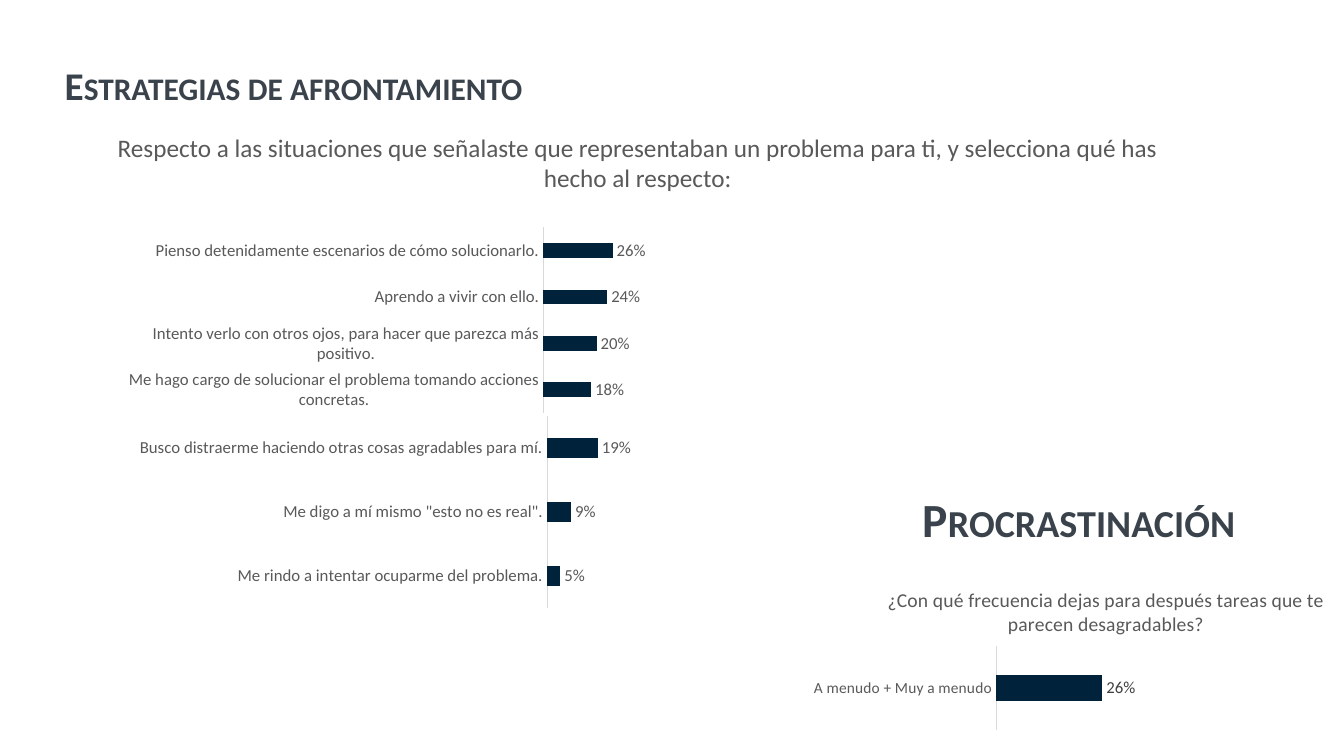
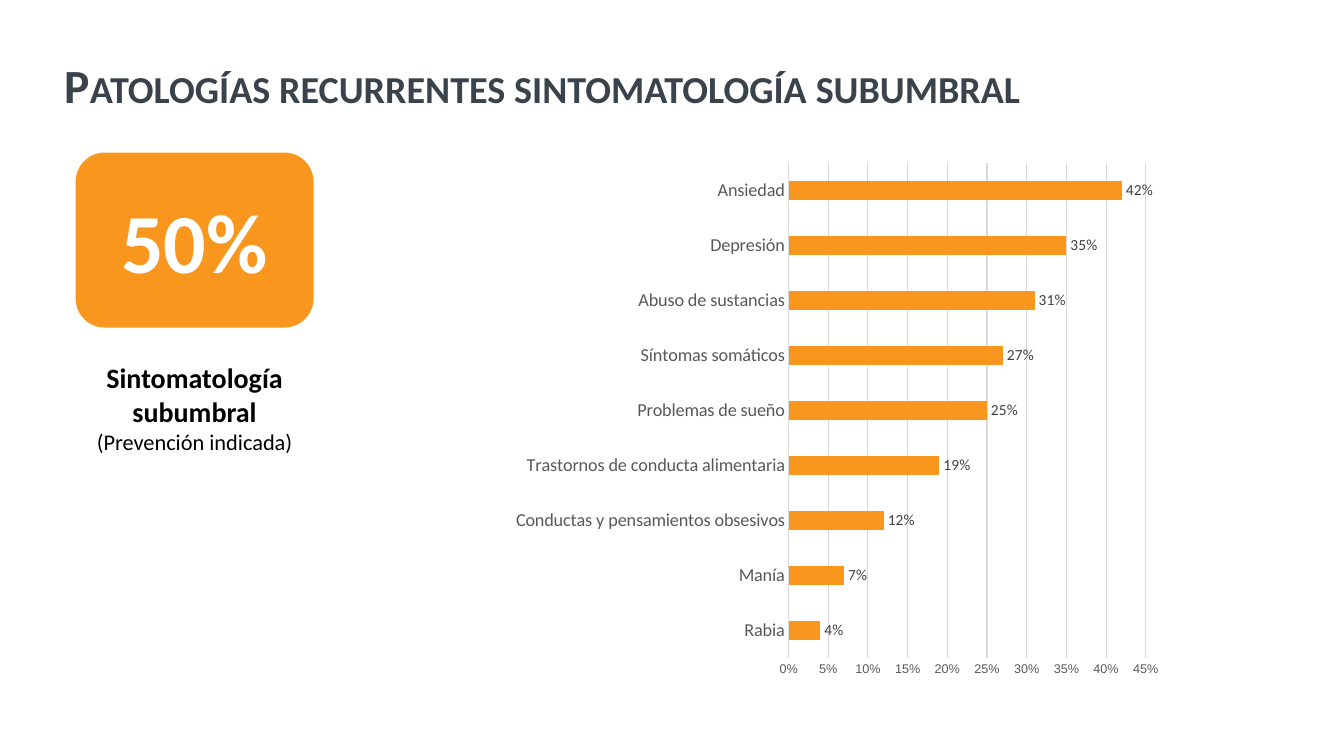
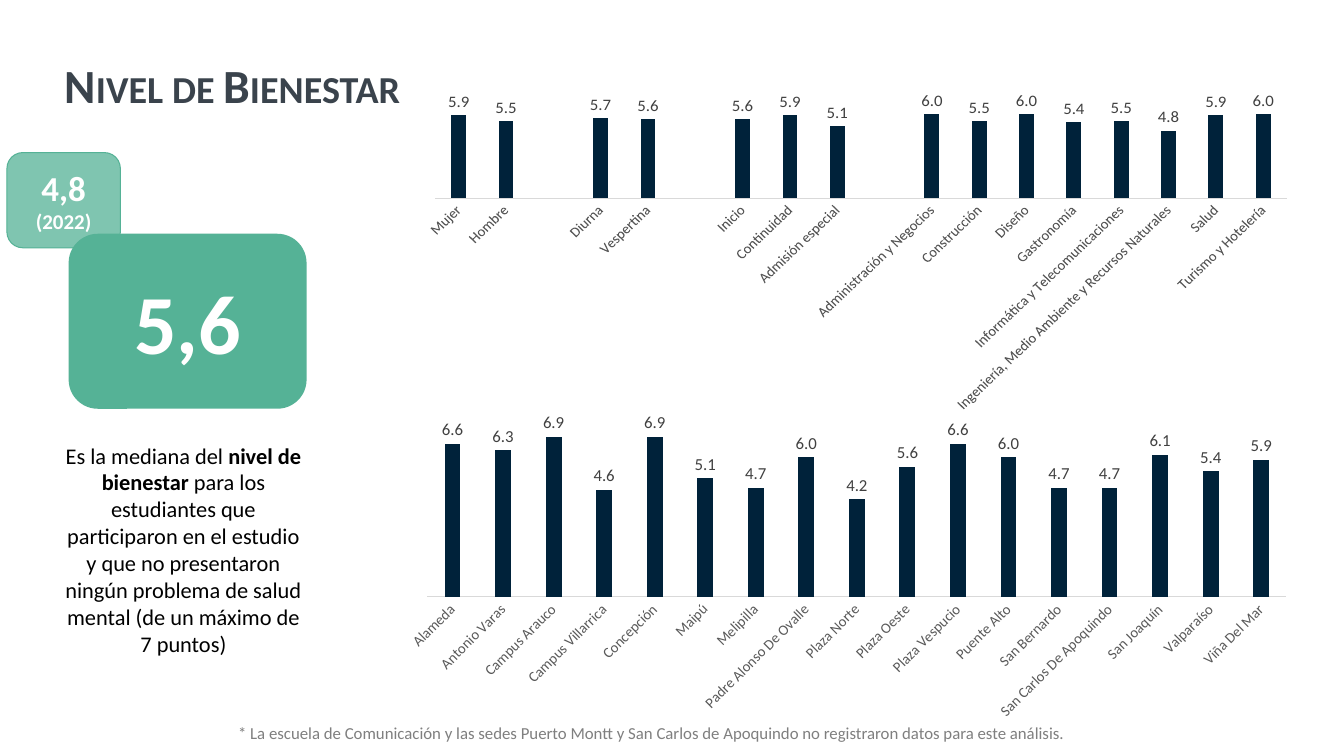
import pptx
import pptx.util
import pptx.oxml
import pptx.oxml.ns
import pptx.dml.color
import pptx.chart.data
import pptx.enum.chart
import pptx.enum.shapes
import pptx.enum.text

Pt = pptx.util.Pt
ALIGN = pptx.enum.text.PP_ALIGN
BAR = pptx.enum.chart.XL_CHART_TYPE.BAR_CLUSTERED
COLUMN = pptx.enum.chart.XL_CHART_TYPE.COLUMN_CLUSTERED

FONT = "Calibri"
NAVY = "00223A"
ORANGE = "F8961E"
GREEN = "55B296"
SLATE = "3A434C"
GRAY = "595959"
DARK = "404040"
MUTED = "7F7F7F"
RULE = "D9D9D9"
BLACK = "000000"
WHITE = "FFFFFF"


def rgb(color):
    return pptx.dml.color.RGBColor.from_string(color)


def style_font(font, size, color, bold=False, name=FONT):
    font.name = name
    font.size = Pt(size)
    font.bold = bold
    font.color.rgb = rgb(color)


class Deck:
    def __init__(self):
        self.prs = pptx.Presentation()
        self.prs.slide_width, self.prs.slide_height = Pt(960), Pt(540)
        self.s = None

    def slide(self, title, size=34):
        self.s = self.prs.slides.add_slide(self.prs.slide_layouts[5])
        sp = self.s.shapes.title
        sp.left, sp.top, sp.width, sp.height = map(Pt, (39, 29, 917, 68))
        self.format_heading(sp, title, size)

    def format_heading(self, sp, text, size):
        tf = sp.text_frame
        self.add_runs(tf, [[(text, size, True)]], SLATE, ALIGN.LEFT)
        tf.auto_size = pptx.enum.text.MSO_AUTO_SIZE.NONE
        tf.vertical_anchor = pptx.enum.text.MSO_ANCHOR.MIDDLE
        p = tf.paragraphs[0]
        p.line_spacing = 0.9
        p.runs[0]._r.get_or_add_rPr().set("cap", "small")

    def add_runs(self, tf, paragraphs, color, align):
        tf.word_wrap = True
        for i, runs in enumerate(paragraphs):
            p = tf.add_paragraph() if i else tf.paragraphs[0]
            p.alignment = align
            for text, size, bold in runs:
                r = p.add_run()
                r.text = text
                style_font(r.font, size, color, bold)

    def heading(self, box, text, size=34):
        sp = self.s.shapes.add_textbox(*map(Pt, box))
        self.format_heading(sp, text, size)

    def text(self, box, paragraphs, color=BLACK, align=ALIGN.CENTER):
        sp = self.s.shapes.add_textbox(*map(Pt, box))
        self.add_runs(sp.text_frame, paragraphs, color, align)

    def badge(self, box, paragraphs, color, opacity=None):
        kind = pptx.enum.shapes.MSO_SHAPE.ROUNDED_RECTANGLE
        sp = self.s.shapes.add_shape(kind, *map(Pt, box))
        sp.shadow.inherit = False
        sp.fill.solid()
        sp.fill.fore_color.rgb = rgb(color)
        if opacity is None:
            sp.line.fill.background()
        else:
            sp.line.color.rgb = rgb(color)
            sp.line.width = Pt(0.75)
            clr = sp._element.spPr.find(".//" + pptx.oxml.ns.qn("a:srgbClr"))
            alpha = clr.makeelement(pptx.oxml.ns.qn("a:alpha"), {"val": str(opacity * 1000)})
            clr.append(alpha)
        sp.text_frame.vertical_anchor = pptx.enum.text.MSO_ANCHOR.MIDDLE
        self.add_runs(sp.text_frame, paragraphs, WHITE, ALIGN.CENTER)

    def chart(self, box, kind, points, top, fmt="0%", color=NAVY, gap=219, cat_size=12,
              label_size=12, label_color=DARK, step=None, title=None, inner=None):
        data = pptx.chart.data.CategoryChartData(number_format=fmt)
        data.categories = [name for name, _ in points]
        data.add_series("Series 1", [value for _, value in points])
        ch = self.s.shapes.add_chart(kind, *map(Pt, box), data).chart
        style_font(ch.font, 10, BLACK, name="Arial")
        ch.has_legend = False
        ch.has_title = title is not None
        if title:
            r = ch.chart_title.text_frame.paragraphs[0].add_run()
            r.text = title
            style_font(r.font, 14, GRAY)
        self.format_axes(ch, kind, top, step, cat_size, fmt)
        plot = ch.plots[0]
        plot.gap_width = gap
        plot.vary_by_categories = False
        if kind == COLUMN:
            plot.overlap = -27
        fill = plot.series[0].format.fill
        fill.solid()
        fill.fore_color.rgb = rgb(color)
        plot.has_data_labels = True
        labels = plot.data_labels
        labels.show_value = True
        labels.number_format, labels.number_format_is_linked = fmt, False
        labels.position = pptx.enum.chart.XL_LABEL_POSITION.OUTSIDE_END
        style_font(labels.font, label_size, label_color)
        if inner:
            self.place_plot(ch, inner)

    def format_axes(self, ch, kind, top, step, cat_size, fmt):
        none = pptx.enum.chart.XL_TICK_MARK.NONE
        cat, val = ch.category_axis, ch.value_axis
        cat.major_tick_mark = val.major_tick_mark = none
        cat.format.line.color.rgb = rgb(RULE)
        cat.format.line.width = Pt(0.75)
        style_font(cat.tick_labels.font, cat_size, GRAY)
        if kind == COLUMN:
            cat._element.find(".//" + pptx.oxml.ns.qn("a:bodyPr")).set("rot", "-2700000")
        val.minimum_scale, val.maximum_scale = 0, top
        val.has_major_gridlines = step is not None
        val.visible = step is not None
        if step:
            val.major_unit = step
            val.format.line.fill.background()
            val.major_gridlines.format.line.color.rgb = rgb(RULE)
            val.major_gridlines.format.line.width = Pt(0.75)
            val.tick_labels.number_format = fmt
            val.tick_labels.number_format_is_linked = False
            style_font(val.tick_labels.font, 9, GRAY, name="Arial")

    def place_plot(self, ch, inner):
        area = ch._chartSpace.chart.plotArea
        for old in area.findall(pptx.oxml.ns.qn("c:layout")):
            area.remove(old)
        modes = '<c:layoutTarget val="inner"/><c:xMode val="edge"/><c:yMode val="edge"/>'
        sizes = "".join(f'<c:{k} val="{v}"/>' for k, v in zip("xywh", inner))
        ns = pptx.oxml.ns.nsdecls("c")
        area.insert(0, pptx.oxml.parse_xml(
            f"<c:layout {ns}><c:manualLayout>{modes}{sizes}</c:manualLayout></c:layout>"))


def coping(d):
    d.slide("Estrategias de afrontamiento", 28)
    d.text((68, 91, 775, 51), [[(
        "Respecto a las situaciones que señalaste que representaban un problema para ti, "
        "y selecciona qué has hecho al respecto:", 18, False)]], GRAY)
    d.chart((92, 142, 518, 204), BAR, [
        ("Me hago cargo de solucionar el problema tomando acciones concretas.", 0.18),
        ("Intento verlo con otros ojos, para hacer que parezca más positivo.", 0.2),
        ("Aprendo a vivir con ello.", 0.24),
        ("Pienso detenidamente escenarios de cómo solucionarlo.", 0.26),
    ], 1, label_color=GRAY, inner=(0.57, 0.1, 0.37, 0.65))
    d.chart((80, 287, 518, 173), BAR, [
        ("Me rindo a intentar ocuparme del problema.", 0.05),
        ('Me digo a mí mismo "esto no es real".', 0.09),
        ("Busco distraerme haciendo otras cosas agradables para mí.", 0.19),
    ], 1, label_color=GRAY, inner=(0.6, 0.06, 0.37, 0.79))
    d.heading((652, 339, 300, 68), "Procrastinación")
    d.chart((572, 410, 436, 114), BAR, [("A menudo + Muy a menudo", 0.26)], 1, cat_size=11,
            title="¿Con qué frecuencia dejas para después tareas que te parecen desagradables?",
            inner=(0.32, 0.45, 0.67, 0.53))


def pathologies(d):
    d.slide("Patologías recurrentes sintomatología subumbral")
    d.badge((54, 109, 170, 125), [[("50%", 60, True)]], ORANGE)
    d.text((47, 254, 184, 75), [[("Sintomatología subumbral", 20, True)],
                                [("(Prevención indicada)", 16, False)]])
    d.chart((359, 109, 478, 382), BAR, [
        ("Rabia", 0.04),
        ("Manía", 0.07),
        ("Conductas y pensamientos obsesivos", 0.12),
        ("Trastornos de conducta alimentaria", 0.19),
        ("Problemas de sueño", 0.25),
        ("Síntomas somáticos", 0.27),
        ("Abuso de sustancias", 0.31),
        ("Depresión", 0.35),
        ("Ansiedad", 0.42),
    ], 0.45, color=ORANGE, gap=182, cat_size=13, label_size=11, step=0.05)


def wellbeing(d):
    d.slide("Nivel de Bienestar")
    d.chart((279, 289, 653, 230), COLUMN, [
        ("Alameda", 6.6), ("Antonio Varas", 6.3), ("Campus Arauco", 6.9),
        ("Campus Villarrica", 4.6), ("Concepción", 6.9), ("Maipú", 5.1), ("Melipilla", 4.7),
        ("Padre Alonso De Ovalle", 6), ("Plaza Norte", 4.2), ("Plaza Oeste", 5.6),
        ("Plaza Vespucio", 6.6), ("Puente Alto", 6), ("San Bernardo", 4.7),
        ("San Carlos De Apoquindo", 4.7), ("San Joaquín", 6.1), ("Valparaíso", 5.4),
        ("Viña Del Mar", 5.9),
    ], 8, "0.0", cat_size=10.5)
    gap = ("", None)
    d.chart((292, 65, 640, 230), COLUMN, [
        ("Mujer", 5.9), ("Hombre", 5.5), gap,
        ("Diurna", 5.7), ("Vespertina", 5.6), gap,
        ("Inicio", 5.6), ("Continuidad", 5.9), ("Admisión especial", 5.1), gap,
        ("Administración y Negocios", 6), ("Construcción", 5.5), ("Diseño", 6),
        ("Gastronomía", 5.4), ("Informática y Telecomunicaciones", 5.5),
        ("Ingeniería, Medio Ambiente y Recursos Naturales", 4.8), ("Salud", 5.9),
        ("Turismo y Hotelería", 6),
    ], 7, "0.0", cat_size=10.5)
    d.text((163, 513, 670, 22), [[(
        "* La escuela de Comunicación y las sedes Puerto Montt y San Carlos de Apoquindo "
        "no registraron datos para este análisis.", 12, False)]], MUTED, ALIGN.LEFT)
    d.badge((49, 167, 170, 125), [[("5,6", 60, True)]], GREEN)
    d.text((39, 312, 184, 163), [[
        ("Es la mediana del ", 16, False),
        ("nivel de bienestar", 16, True),
        (" para los estudiantes que participaron en el estudio y que no presentaron "
         "ningún problema de salud mental (de un máximo de 7 puntos)", 16, False)]])
    d.badge((5, 109, 81, 68), [[("4,8", 25, True)], [("(2022)", 15, True)]], GREEN, 75)


def main():
    d = Deck()
    coping(d)
    pathologies(d)
    wellbeing(d)
    d.prs.save("out.pptx")


if __name__ == "__main__":
    main()
